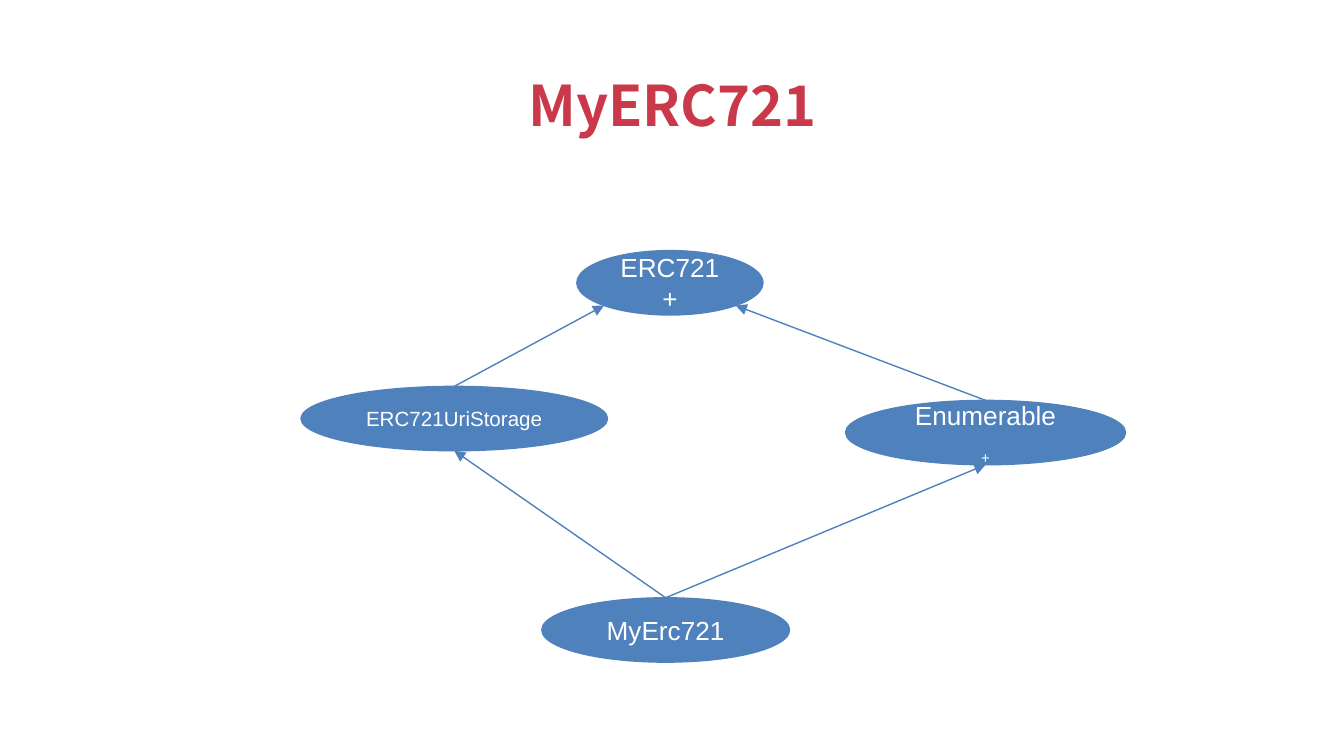
from math import sqrt

from pptx import Presentation
from pptx.dml.color import RGBColor
from pptx.enum.shapes import MSO_CONNECTOR as CONN, MSO_SHAPE as SHAPE
from pptx.enum.text import MSO_ANCHOR as ANCHOR, PP_ALIGN as ALIGN
from pptx.oxml.ns import qn
from pptx.util import Pt
from lxml.etree import SubElement

SCALE = 9525
BLUE, RED, WHITE = "4F81BD", "C9394A", "FFFFFF"


def px(n):
    return n * SCALE


def rgb(value):
    return RGBColor.from_string(value)


class Diagram:
    font = "Arial"
    title_font = "Noto Sans CJK SC"
    line_width = Pt(0.75)
    node_height = 46

    def __init__(self, prs):
        self.s = prs.slides.add_slide(prs.slide_layouts[5])

    def style(self, p, size, color, font, bold=False):
        p.alignment = ALIGN.CENTER
        p.font.size = Pt(size)
        p.font.name = font
        p.font.bold = bold
        p.font.color.rgb = rgb(color)

    def title(self, text, x, y, w, h):
        sp = self.s.shapes.title
        sp.left, sp.top, sp.width, sp.height = map(px, (x, y, w, h))
        tf = sp.text_frame
        tf.text = text
        tf.word_wrap = False
        tf.vertical_anchor = ANCHOR.MIDDLE
        tf.margin_left = tf.margin_right = tf.margin_top = tf.margin_bottom = 0
        self.style(tf.paragraphs[0], 30, RED, self.title_font, True)

    def node(self, text, x, y, w, size=14):
        sp = self.s.shapes.add_shape(
            SHAPE.OVAL, px(x), px(y), px(w), px(self.node_height))
        sp.shadow.inherit = False
        sp.fill.solid()
        sp.fill.fore_color.rgb = rgb(BLUE)
        sp.line.color.rgb = rgb(BLUE)
        sp.line.width = self.line_width
        tf = sp.text_frame
        tf.word_wrap = True
        tf.vertical_anchor = ANCHOR.MIDDLE
        tf.text = text
        for p in tf.paragraphs:
            self.style(p, size, WHITE, self.font)
        return sp

    def subscript(self, p):
        for r in p.runs:
            r.font._element.set("baseline", "-25000")

    def site(self, sp, dx, dy):
        return (round(sp.left + sp.width * (1 + dx) / 2),
                round(sp.top + sp.height * (1 + dy) / 2))

    def arrow(self, child, parent, dx, dy):
        c = self.s.shapes.add_connector(
            CONN.STRAIGHT, *self.site(child, 0, -1), *self.site(parent, dx, dy))
        c.line.color.rgb = rgb(BLUE)
        c.line.width = self.line_width
        SubElement(c.line._get_or_add_ln(), qn("a:tailEnd"), type="triangle")
        SubElement(c._element.spPr, qn("a:effectLst"))


def main():
    prs = Presentation()
    prs.slide_width, prs.slide_height = px(960), px(540)
    d = Diagram(prs)
    d.title("MyERC721", 362, 45, 237, 59)

    base = d.node("ERC721\n+", 412, 179, 133)
    storage = d.node("ERC721UriStorage", 215, 276, 219, 11)
    enumerable = d.node("Enumerable\n+", 604, 286, 200)
    d.subscript(enumerable.text_frame.paragraphs[1])
    token = d.node("MyErc721", 387, 427, 177)

    diagonal = sqrt(0.5)
    for parent, side in ((storage, -1), (enumerable, 1)):
        d.arrow(parent, base, side * diagonal, diagonal)
        d.arrow(token, parent, 0, 1)

    prs.save("out.pptx")


if __name__ == "__main__":
    main()
